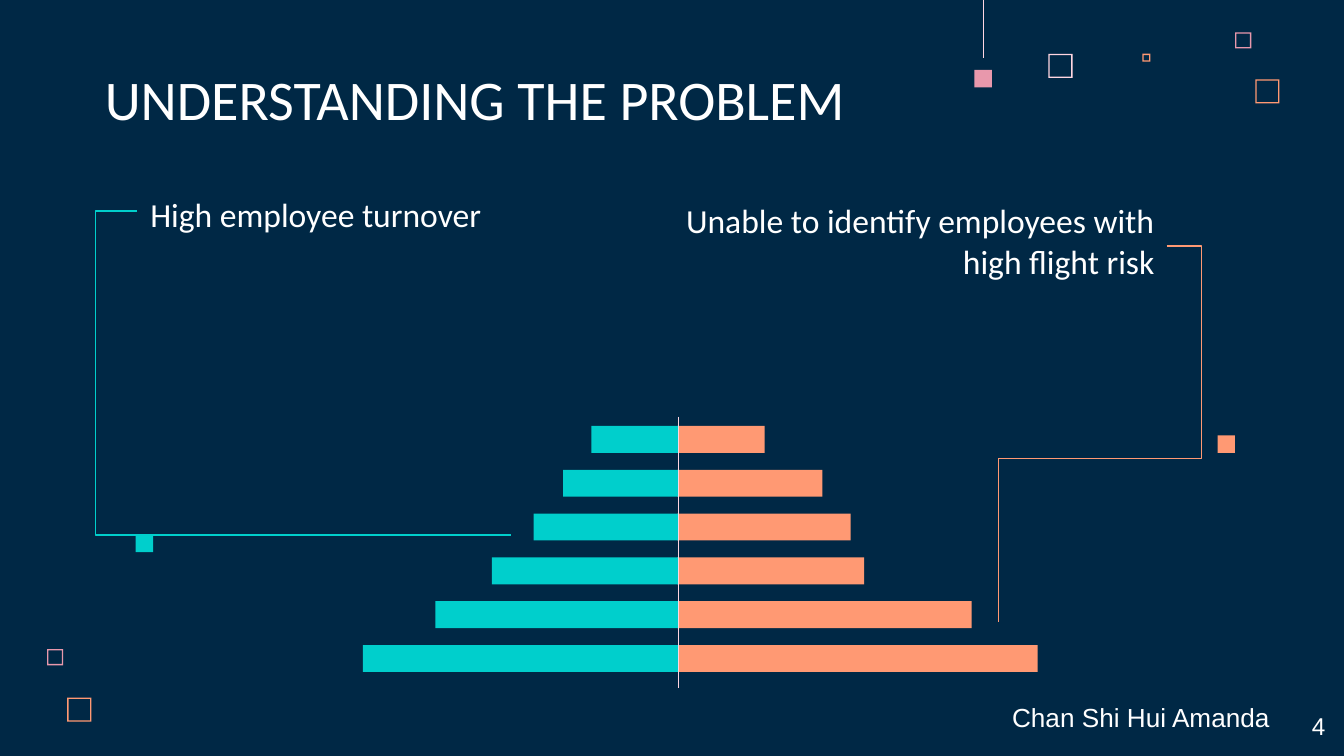
from lxml.etree import SubElement
from pptx import Presentation
from pptx.dml.color import RGBColor
from pptx.enum.shapes import MSO_CONNECTOR, MSO_SHAPE
from pptx.enum.text import MSO_ANCHOR, MSO_AUTO_SIZE, PP_ALIGN
from pptx.oxml.ns import qn
from pptx.util import Inches, Pt

COLORS = {
    "navy": "002845",
    "white": "FFFFFF",
    "blush": "FFD6E1",
    "pink": "E898AC",
    "orange": "FF9973",
    "teal": "00CFCC",
}

# Decorative square outlines: left, top, size, colour
OUTLINES = [
    (7.8, 0.4, 0.18, "blush"),
    (9.19, 0.24, 0.12, "pink"),
    (8.5, 0.4, 0.06, "orange"),
    (9.34, 0.59, 0.18, "orange"),
    (0.35, 4.83, 0.12, "pink"),
    (0.5, 5.19, 0.18, "orange"),
]
OUTLINE_WIDTH = 0.01

# Small solid squares: left, top, colour
MARKERS = [
    (7.25, 0.52, "pink"),
    (1.01, 3.98, "teal"),
    (9.06, 3.24, "orange"),
]
MARKER_SIZE = 0.13

# Pyramid bar lengths from top to bottom
TEAL_BARS = [0.65, 0.86, 1.08, 1.39, 1.81, 2.35]
ORANGE_BARS = [0.65, 1.08, 1.29, 1.39, 2.19, 2.68]
AXIS_X, ORANGE_LEFT = 5.05, 5.04
FIRST_BAR, LAST_BAR, BAR_HEIGHT = 3.17, 4.8, 0.2


def color(name):
    return RGBColor.from_string(COLORS[name])


def add_block(page, left, top, width, height, fill, kind=MSO_SHAPE.RECTANGLE):
    block = page.shapes.add_shape(
        kind, Inches(left), Inches(top), Inches(width), Inches(height))
    block.shadow.inherit = False
    block.fill.solid()
    block.fill.fore_color.rgb = color(fill)
    block.line.fill.background()
    return block


def add_outline(page, left, top, size, fill):
    frame = add_block(page, left, top, size, size, fill, MSO_SHAPE.FRAME)
    frame.adjustments[0] = OUTLINE_WIDTH / size


def add_line(page, start, end, stroke, width=0.75, kind=MSO_CONNECTOR.STRAIGHT):
    line = page.shapes.add_connector(
        kind, *(Inches(value) for value in (*start, *end)))
    line.line.color.rgb = color(stroke)
    line.line.width = Pt(width)
    SubElement(line._element.spPr, qn("a:effectLst"))
    return line


def add_elbow(page, start, end, stroke, bends):
    """Draw a bent connector; each bend is a percentage of its extent."""
    elbow = add_line(page, start, end, stroke, kind=MSO_CONNECTOR.ELBOW)
    geometry = elbow._element.spPr.find(qn("a:prstGeom"))
    geometry.set("prst", f"bentConnector{len(bends) + 2}")
    guides = geometry.find(qn("a:avLst"))
    if guides is None:
        guides = SubElement(geometry, qn("a:avLst"))
    for number, bend in enumerate(bends, 1):
        SubElement(guides, qn("a:gd"), name=f"adj{number}",
                   fmla=f"val {round(bend * 1000)}")


def write_text(box, area, text, size, font="Calibri",
               align=PP_ALIGN.LEFT, anchor=MSO_ANCHOR.BOTTOM):
    box.left, box.top, box.width, box.height = map(Inches, area)
    frame = box.text_frame
    frame.word_wrap = True
    frame.auto_size = MSO_AUTO_SIZE.NONE
    frame.vertical_anchor = anchor
    frame.margin_left = frame.margin_right = Inches(0.1)
    frame.margin_top = frame.margin_bottom = Inches(0.1)
    para = frame.paragraphs[0]
    para.alignment = align
    para.space_before = Pt(0)
    span = para.add_run()
    span.text = text
    span.font.size = Pt(size)
    span.font.name = font
    span.font.color.rgb = color("white")


def add_text(page, area, text, size, **style):
    box = page.shapes.add_textbox(*map(Inches, area))
    write_text(box, area, text, size, **style)


def add_pyramid(page):
    step = (LAST_BAR - FIRST_BAR) / (len(TEAL_BARS) - 1)
    for row, (teal_bar, orange_bar) in enumerate(zip(TEAL_BARS, ORANGE_BARS)):
        top = FIRST_BAR + row * step
        add_block(page, ORANGE_LEFT, top, orange_bar, BAR_HEIGHT, "orange")
        add_block(page, AXIS_X - teal_bar, top, teal_bar, BAR_HEIGHT, "teal")
    add_line(page, (AXIS_X, 3.1), (AXIS_X, 5.12), "blush")


def main():
    # Widescreen page, 16:9
    deck = Presentation()
    deck.slide_width, deck.slide_height = Inches(10), Inches(10 * 9 / 16)
    page = deck.slides.add_slide(deck.slide_layouts[0])
    page.background.fill.solid()
    page.background.fill.fore_color.rgb = color("navy")

    # Decoration
    for outline in OUTLINES:
        add_outline(page, *outline)
    add_line(page, (7.32, 0), (7.32, 0.43), "blush", 0.5)

    # Title and presenter
    write_text(page.shapes.title, (0.68, 0.45, 6.73, 0.63),
               "UNDERSTANDING THE PROBLEM", 30)
    write_text(page.placeholders[1], (7.43, 5.12, 2.18, 0.43),
               "Chan Shi Hui Amanda", 14, font="Arial", anchor=MSO_ANCHOR.TOP)

    # Problem statements
    add_text(page, (1.02, 1.31, 3.73, 0.53), "High employee turnover", 18)
    add_text(page, (4.75, 1.46, 3.94, 0.73),
             "Unable to identify employees with high flight risk", 18,
             align=PP_ALIGN.RIGHT)

    # Pyramid and its callout lines
    add_pyramid(page)
    add_elbow(page, (1.02, 1.57), (3.8, 3.98), "teal", [-11.1])
    add_elbow(page, (8.68, 1.83), (7.43, 4.63), "orange", [-20.8, 56.5])
    for left, top, fill in MARKERS:
        add_block(page, left, top, MARKER_SIZE, MARKER_SIZE, fill)

    # Page number
    add_text(page, (9.36, 5.19, 0.6, 0.43), "4", 13, font="Arial",
             align=PP_ALIGN.RIGHT, anchor=MSO_ANCHOR.TOP)

    deck.save("out.pptx")


if __name__ == "__main__":
    main()
